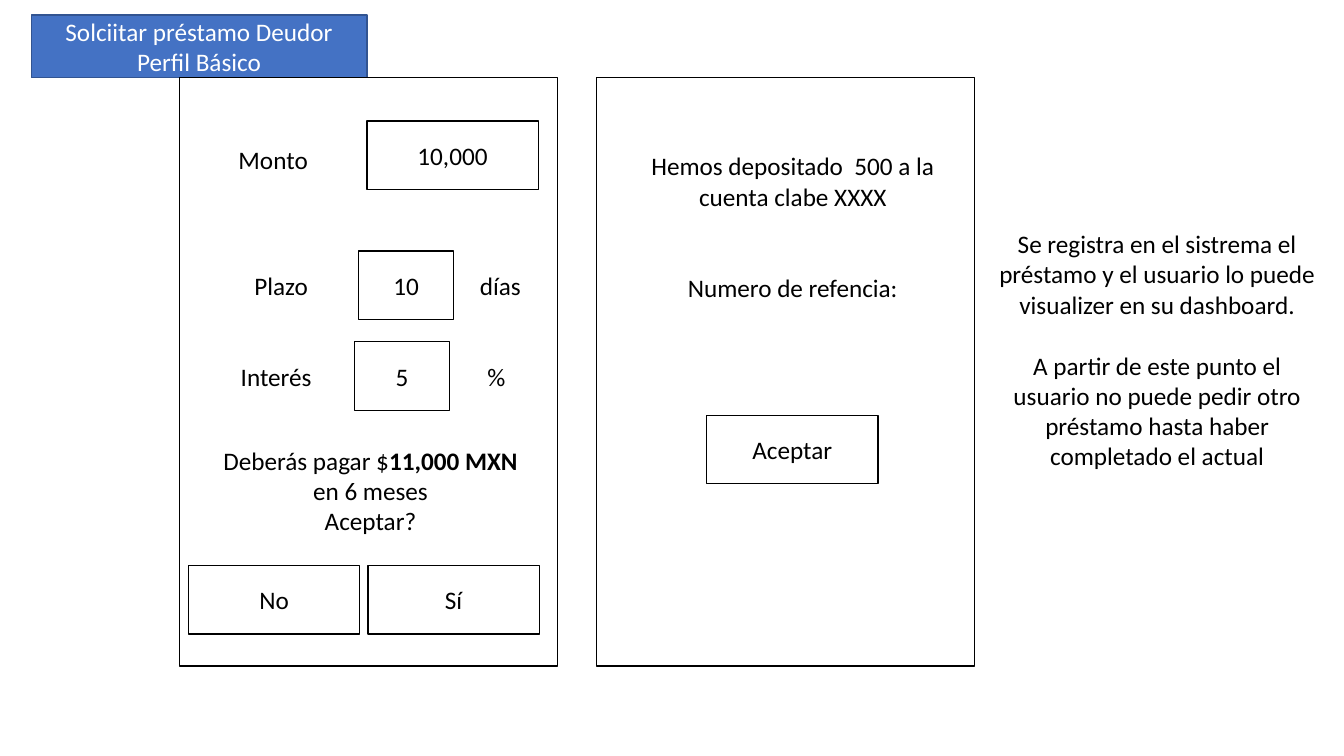
import pptx
import pptx.util
import pptx.dml.color
import pptx.enum.shapes
import pptx.enum.text

Pt = pptx.util.Pt
COLORS = {"white": "FFFFFF", "black": "000000", "blue": "4472C4", "navy": "325491"}
LINE_HEIGHT = 22


def style_box(shape, bounds, fill, line):
    shape.left, shape.top, shape.width, shape.height = [Pt(value) for value in bounds]
    shape.fill.solid()
    shape.fill.fore_color.rgb = pptx.dml.color.RGBColor.from_string(COLORS[fill])
    shape.line.color.rgb = pptx.dml.color.RGBColor.from_string(COLORS[line])
    shape.line.width = Pt(1)


def write_text(shape, paragraphs, color="black", gap=0):
    """Each paragraph is a list of (text, bold) runs; gap separates paragraphs."""
    frame = shape.text_frame
    frame.word_wrap = True
    frame.auto_size = pptx.enum.text.MSO_AUTO_SIZE.NONE
    frame.vertical_anchor = pptx.enum.text.MSO_ANCHOR.MIDDLE
    for index, runs in enumerate(paragraphs):
        paragraph = frame.add_paragraph() if index else frame.paragraphs[0]
        paragraph.alignment = pptx.enum.text.PP_ALIGN.CENTER
        paragraph.line_spacing = 1.0
        paragraph.space_before = Pt(gap if index else 0)
        for text, bold in runs:
            run = paragraph.add_run()
            run.text = text
            run.font.name = "Calibri"
            run.font.size = Pt(18)
            run.font.bold = bold
            run.font.color.rgb = pptx.dml.color.RGBColor.from_string(COLORS[color])


presentation = pptx.Presentation()
presentation.slide_width = Pt(960)
presentation.slide_height = Pt(540)
slide = presentation.slides.add_slide(presentation.slide_layouts[5])

# Title
title = slide.shapes.title
style_box(title, (22.3, 10.8, 239.8, 44.6), "blue", "navy")
write_text(title, [[("Solciitar préstamo Deudor Perfil Básico", False)]], "white")

# Screen panels
boxes = [((left, 55.4, 270, 420.5), "black", [], 0) for left in (128.2, 426.2)]

# Loan form: labels, input fields and buttons of equal height
BUTTON_WIDTH, FIELD_WIDTH, UNIT_WIDTH, ROW_HEIGHT = 122.4, 67.7, 64.1, 49
form_parts = [
    ("Monto", 133.9, 89.3, BUTTON_WIDTH, "white"),
    ("10,000", 262.1, 86.4, BUTTON_WIDTH, "black"),
    ("No", 134.6, 403.9, BUTTON_WIDTH, "black"),
    ("Sí", 262.8, 403.9, BUTTON_WIDTH, "black"),
    ("Aceptar", 504.7, 296.6, BUTTON_WIDTH, "black"),
]
for label, value, unit, label_left, field_left, top in [
    ("Plazo", "10", "días", 139.7, 256.3, 179.3),
    ("Interés", "5", "%", 136.1, 253.4, 244.1),
]:
    form_parts += [
        (label, label_left, top, BUTTON_WIDTH, "white"),
        (value, field_left, top, FIELD_WIDTH, "black"),
        (unit, field_left + 69.1, top, UNIT_WIDTH, "white"),
    ]

# Messages
boxes += [
    ((142.6, 313.9, 244.1, 72.7), "white",
     [[("Deberás pagar $", False), ("11,000 MXN ", True), ("en 6 meses", False)],
      [("Aceptar?", False)]], 0),
    ((445.7, 95.8, 241.2, 132.5), "white",
     [[("Hemos depositado  500 a la cuenta clabe XXXX", False)],
      [("Numero de refencia:", False)]], 2 * LINE_HEIGHT),
    ((706.3, 90.7, 240.5, 318.2), "white",
     [[("Se registra en el sistrema el préstamo y el usuario lo puede "
        "visualizer en su dashboard.", False)],
      [("A partir de este punto el usuario no puede pedir otro préstamo "
        "hasta haber completado el actual", False)]], LINE_HEIGHT),
]
boxes += [((left, top, width, ROW_HEIGHT), line, [[(text, False)]], 0)
          for text, left, top, width, line in form_parts]

# Draw all boxes from back to front
for bounds, line, paragraphs, gap in boxes:
    shape = slide.shapes.add_shape(
        pptx.enum.shapes.MSO_SHAPE.RECTANGLE, *[Pt(value) for value in bounds])
    shape.shadow.inherit = False
    style_box(shape, bounds, "white", line)
    write_text(shape, paragraphs, gap=gap)

presentation.save("out.pptx")
